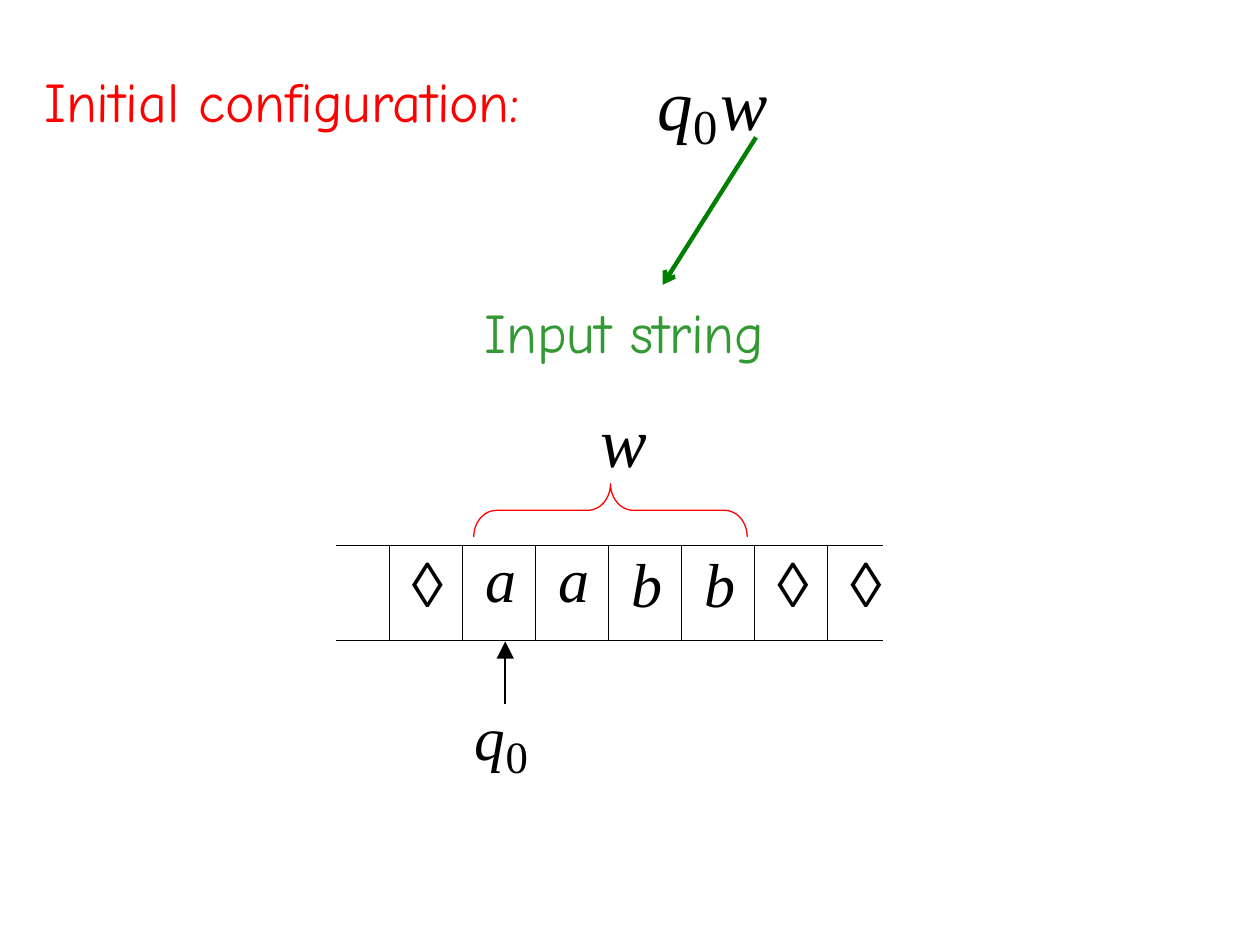
import pptx
import pptx.dml.color
import pptx.enum.dml
import pptx.enum.shapes
import pptx.enum.text
import pptx.oxml
import pptx.oxml.ns
import pptx.util
from pptx.util import Inches

BLACK, RED, GREEN, DARK_GREEN = "000000", "FF0000", "339933", "008000"
HEADING = {"name": "Comic Neue", "size": 32}
SYMBOL = {"name": "Times New Roman", "italic": True}
SUBSCRIPT = {"name": "Times New Roman", "baseline": -17000, "spc": -40}
CENTER = pptx.enum.text.PP_ALIGN.CENTER


def color(value):
    return pptx.dml.color.RGBColor.from_string(value)


def element(tag, **attributes):
    node = pptx.oxml.parse_xml(f"<a:{tag} {pptx.oxml.ns.nsdecls('a')}/>")
    for key, value in attributes.items():
        node.set(key, str(value))
    return node


class SlideBuilder:
    """Holds the current slide and draws each kind of element on it."""

    def __init__(self, slide):
        self.slide = slide

    def fill_para(self, para, runs, shade=BLACK, indent=0, tab=None, **layout):
        properties = para._p.get_or_add_pPr()
        properties.set("marL", str(Inches(indent)))
        properties.set("indent", "0")
        for key, value in layout.items():
            setattr(para, key, value)
        if tab:
            tabs = element("tabLst")
            tabs.append(element("tab", pos=Inches(tab), algn="l"))
            properties.append(tabs)
        for text, style in runs:
            span = para.add_run()
            span.text = text
            span.font.color.rgb = color(shade)
            for key, value in style.items():
                if key in ("spc", "baseline"):
                    span._r.get_or_add_rPr().set(key, str(value))
                else:
                    setattr(span.font, key, pptx.util.Pt(value) if key == "size" else value)

    def text(self, left, top, width, height, inset, *paragraphs):
        box = self.slide.shapes.add_textbox(*map(Inches, (left, top, width, height)))
        frame = box.text_frame
        frame.word_wrap = True
        frame.margin_left = frame.margin_right = frame.margin_bottom = 0
        frame.margin_top = Inches(inset)
        for index, content in enumerate(paragraphs):
            para = frame.add_paragraph() if index else frame.paragraphs[0]
            self.fill_para(para, **content)

    def arrow(self, start, end, shade, width, head):
        line = self.slide.shapes.add_connector(
            pptx.enum.shapes.MSO_CONNECTOR.STRAIGHT, *map(Inches, start + end))
        line.line.color.rgb = color(shade)
        line.line.width = pptx.util.Pt(width)
        line.line._get_or_add_ln().append(element("tailEnd", **head))
        line._element.spPr.append(element("effectLst"))

    def brace_above(self, left, top, width, height, shade):
        """Draw a left brace turned so that its tip points up."""
        shift = (width - height) / 2
        brace = self.slide.shapes.add_shape(
            pptx.enum.shapes.MSO_SHAPE.LEFT_BRACE,
            *map(Inches, (left + shift, top - shift, height, width)))
        brace.rotation = 90
        brace.adjustments[0] = 0.43
        brace.shadow.inherit = False
        brace.fill.background()
        brace.line.color.rgb = color(shade)
        brace.line.width = pptx.util.Pt(0.75)

    def border(self, cell, side, visible):
        line = element(f"ln{side}", w=pptx.util.Pt(0.75))
        if visible:
            fill = element("solidFill")
            fill.append(element("srgbClr", val=BLACK))
        else:
            fill = element("noFill")
        line.append(fill)
        cell._tc.get_or_add_tcPr().append(line)

    def tape(self, left, top, widths, height, symbols, styles):
        """Draw a one-row table that is open at both ends."""
        table = self.slide.shapes.add_table(
            1, len(widths), *map(Inches, (left, top, sum(widths), height))).table
        table.first_row = table.horz_banding = False
        table.rows[0].height = Inches(height)
        last = len(widths) - 1
        for index, (width, symbol) in enumerate(zip(widths, symbols)):
            table.columns[index].width = Inches(width)
            cell = table.cell(0, index)
            for side in "LRTB":
                is_open = (side, index) in (("L", 0), ("R", last))
                self.border(cell, side, not is_open)
            cell.fill.background()
            cell.margin_left = cell.margin_right = cell.margin_bottom = 0
            if symbol:
                inset, style = styles[symbol]
                cell.margin_top = Inches(inset)
                self.fill_para(cell.text_frame.paragraphs[0], [(symbol, style)], indent=0.18)


def main():
    deck = pptx.Presentation()
    deck.slide_width, deck.slide_height = Inches(10), Inches(7.5)
    page = SlideBuilder(deck.slides.add_slide(deck.slide_layouts[6]))

    page.text(0.34, 0.51, 4.37, 0.57, 0.02, {
        "runs": [("Initial ", HEADING), ("configuration:", HEADING | {"spc": -10})],
        "shade": RED, "indent": 0.01})
    page.text(5.18, 0.36, 1.14, 0.7, 0.01, {
        "runs": [("q", SYMBOL | {"size": 40.5, "spc": -20}),
                 ("0\t", SUBSCRIPT | {"size": 48}),
                 ("w", SYMBOL | {"size": 40.5, "spc": -50})],
        "indent": 0.04, "tab": 0.73})
    page.text(3.73, 5.4, 0.54, 0.62, 0.02, {
        "runs": [("q", SYMBOL | {"size": 35, "spc": -20}),
                 ("0", SUBSCRIPT | {"size": 44.2})],
        "indent": 0.04})
    page.text(
        3.67, 2.13, 2.57, 1.7, 0.23,
        {"runs": [("Input ", HEADING), ("string", HEADING | {"spc": -10})],
         "shade": GREEN, "alignment": CENTER},
        {"runs": [("w", SYMBOL | {"size": 40, "spc": -50})],
         "alignment": CENTER, "space_before": pptx.util.Pt(18.8)})

    letter = SYMBOL | {"size": 35.5}
    page.tape(2.67, 4.33, [0.42] + [0.58] * 6 + [0.44], 0.75,
              ["", "◊", "a", "a", "b", "b", "◊", "◊"],
              {"◊": (0.04, {"name": "Arial", "size": 36, "spc": -50}),
               "a": (0.01, letter), "b": (0.05, letter)})
    page.brace_above(3.76, 3.84, 2.17, 0.42, RED)

    page.arrow((4.01, 5.59), (4.01, 5.09), BLACK, 1,
               {"type": "triangle", "w": "lg", "len": "lg"})
    page.arrow((6, 1.09), (5.26, 2.26), DARK_GREEN, 2.5,
               {"type": "arrow", "w": "med", "len": "med"})
    deck.save("out.pptx")


if __name__ == "__main__":
    main()
